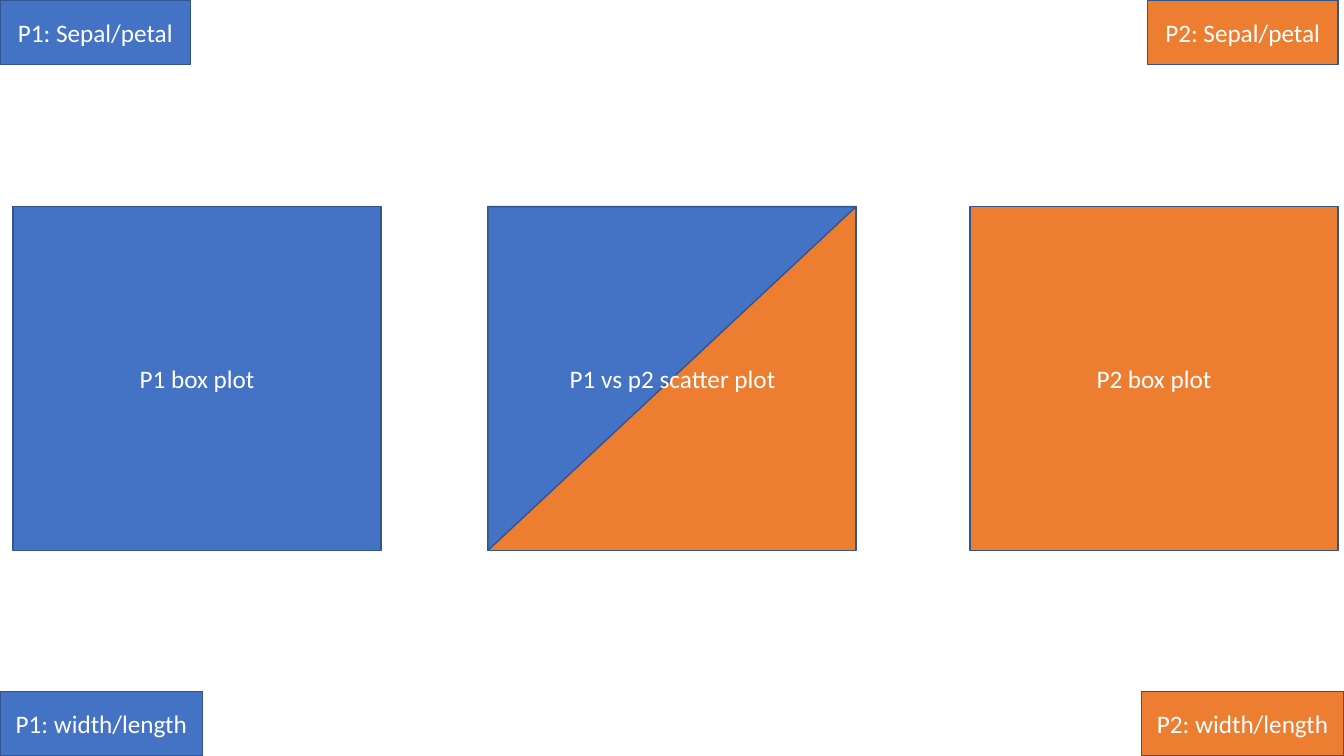
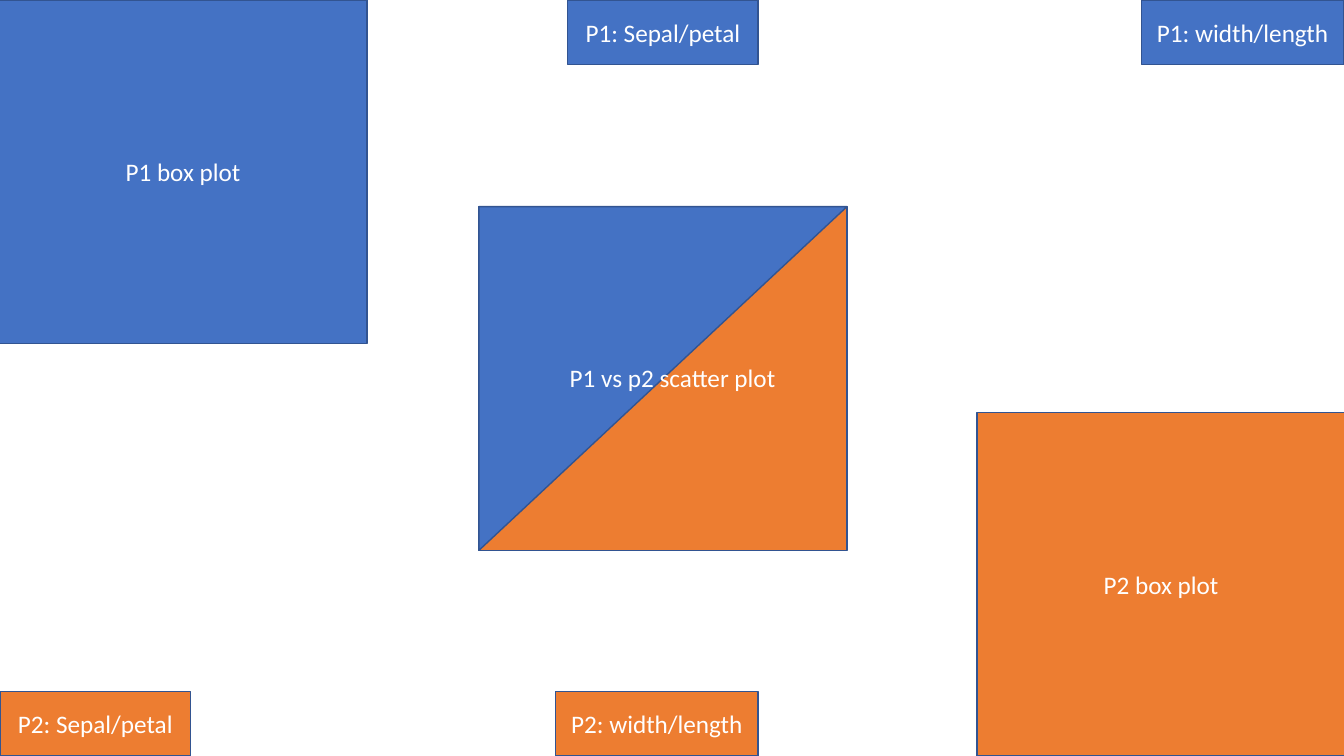
"""Build two layout sketches for a pair of box plots and a scatter plot."""
import dataclasses

import pptx
import pptx.dml.color
import pptx.enum.shapes
import pptx.enum.text
import pptx.util

Inches = pptx.util.Inches
Preset = pptx.enum.shapes.MSO_SHAPE

COLOURS = {"P1": "4472C4", "P2": "ED7D31", "outline": "325491", "text": "FFFFFF"}
FONT = "Calibri"
PAGE_WIDTH, PAGE_HEIGHT = 13.33, 7.5
PLOT_WIDTH, PLOT_HEIGHT = 3.65, 3.41
SEPAL_WIDTH, LENGTH_WIDTH, BUTTON_HEIGHT = 1.89, 2.01, 0.64
BUTTON_BOTTOM = PAGE_HEIGHT - BUTTON_HEIGHT
MIDDLE_TOP = 2.05
LABEL_LEFT, LABEL_WIDTH, LABEL_HEIGHT = 5.31, 2.72, 0.4


@dataclasses.dataclass(frozen=True)
class Panel:
    variable: str
    left: float
    top: float


@dataclasses.dataclass(frozen=True)
class Layout:
    sepal_buttons: tuple[Panel, ...]
    length_buttons: tuple[Panel, ...]
    box_plots: tuple[Panel, ...]
    scatter_left: float
    label_top: float


LAYOUTS = (
    Layout(
        sepal_buttons=(Panel("P1", 0, 0), Panel("P2", 11.38, 0)),
        length_buttons=(
            Panel("P1", 0, BUTTON_BOTTOM),
            Panel("P2", PAGE_WIDTH - LENGTH_WIDTH, BUTTON_BOTTOM),
        ),
        box_plots=(Panel("P1", 0.13, MIDDLE_TOP), Panel("P2", 9.62, MIDDLE_TOP)),
        scatter_left=4.84,
        label_top=3.56,
    ),
    Layout(
        sepal_buttons=(Panel("P1", 5.63, 0), Panel("P2", 0, BUTTON_BOTTOM)),
        length_buttons=(
            Panel("P1", PAGE_WIDTH - LENGTH_WIDTH, 0),
            Panel("P2", 5.51, BUTTON_BOTTOM),
        ),
        box_plots=(
            Panel("P1", -0.01, 0),
            Panel("P2", 9.69, PAGE_HEIGHT - PLOT_HEIGHT),
        ),
        scatter_left=4.75,
        label_top=3.55,
    ),
)


def colour(name: str) -> pptx.dml.color.RGBColor:
    return pptx.dml.color.RGBColor.from_string(COLOURS[name])


def write_text(box, text: str) -> None:
    para = box.text_frame.paragraphs[0]
    para.text = text
    para.alignment = pptx.enum.text.PP_ALIGN.CENTER
    para.font.name = FONT
    para.font.size = pptx.util.Pt(18)
    para.font.color.rgb = colour("text")


def add_panel(page, panel: Panel, width: float, height: float,
              text: str = "", preset=Preset.RECTANGLE):
    box = page.shapes.add_shape(
        preset, Inches(panel.left), Inches(panel.top), Inches(width), Inches(height))
    box.shadow.inherit = False
    box.fill.solid()
    box.fill.fore_color.rgb = colour(panel.variable)
    box.line.color.rgb = colour("outline")
    box.line.width = pptx.util.Pt(1)
    if text:
        box.text_frame.vertical_anchor = pptx.enum.text.MSO_ANCHOR.MIDDLE
        write_text(box, text)
    return box


def add_scatter_plot(page, left: float, label_top: float) -> None:
    add_panel(page, Panel("P2", left, MIDDLE_TOP), PLOT_WIDTH, PLOT_HEIGHT)
    shift = (PLOT_WIDTH - PLOT_HEIGHT) / 2
    triangle = add_panel(
        page, Panel("P1", left + shift, MIDDLE_TOP - shift),
        PLOT_HEIGHT, PLOT_WIDTH, preset=Preset.RIGHT_TRIANGLE)
    triangle.rotation = 90
    label = page.shapes.add_textbox(
        Inches(LABEL_LEFT), Inches(label_top), Inches(LABEL_WIDTH), Inches(LABEL_HEIGHT))
    label.text_frame.word_wrap = True
    label.text_frame.auto_size = pptx.enum.text.MSO_AUTO_SIZE.SHAPE_TO_FIT_TEXT
    write_text(label, "P1 vs p2 scatter plot")


def add_page(deck, layout: Layout) -> None:
    page = deck.slides.add_slide(deck.slide_layouts[6])
    groups = (
        (layout.sepal_buttons, SEPAL_WIDTH, BUTTON_HEIGHT, ": Sepal/petal"),
        (layout.length_buttons, LENGTH_WIDTH, BUTTON_HEIGHT, ": width/length"),
        (layout.box_plots, PLOT_WIDTH, PLOT_HEIGHT, " box plot"),
    )
    for panels, width, height, caption in groups:
        for panel in panels:
            add_panel(page, panel, width, height, panel.variable + caption)
    add_scatter_plot(page, layout.scatter_left, layout.label_top)


def main() -> None:
    deck = pptx.Presentation()
    deck.slide_width = Inches(PAGE_WIDTH)
    deck.slide_height = Inches(PAGE_HEIGHT)
    for layout in LAYOUTS:
        add_page(deck, layout)
    deck.save("out.pptx")


if __name__ == "__main__":
    main()
